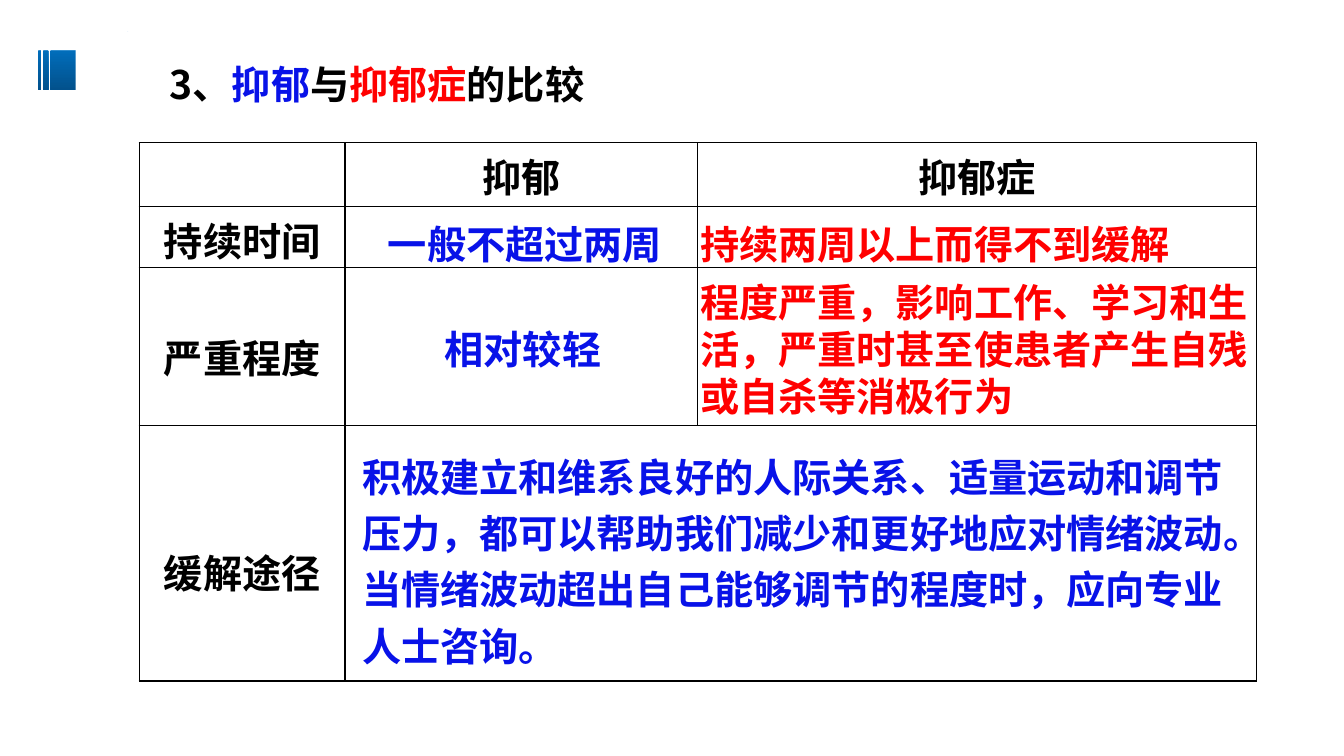
from dataclasses import dataclass

from lxml import etree
from pptx import Presentation
from pptx.dml.color import RGBColor
from pptx.enum.shapes import MSO_SHAPE
from pptx.enum.text import MSO_ANCHOR, MSO_AUTO_SIZE, PP_ALIGN
from pptx.oxml.ns import qn
from pptx.util import Pt

LEFT, CENTER = PP_ALIGN.LEFT, PP_ALIGN.CENTER
TOP = MSO_ANCHOR.TOP
NO_AUTOFIT = MSO_AUTO_SIZE.NONE
STRIPED_ARROW = MSO_SHAPE.STRIPED_RIGHT_ARROW
RECTANGLE = MSO_SHAPE.RECTANGLE
TITLE_ONLY = 5


@dataclass(frozen=True)
class Theme:
    black: RGBColor = RGBColor(0, 0, 0)
    white: RGBColor = RGBColor(255, 255, 255)
    blue: RGBColor = RGBColor(0x08, 0x12, 0xE8)
    red: RGBColor = RGBColor(255, 0, 0)
    marker_top: RGBColor = RGBColor(0x00, 0x7B, 0xD3)
    marker_bottom: RGBColor = RGBColor(0x03, 0x43, 0x73)
    label_font: str = "Noto Sans CJK SC"
    body_font: str = "Noto Sans CJK JP"
    size: float = 28
    tight: float = 33.6
    loose: float = 40.2
    label_line: float = 40.5


THEME = Theme()

# Table geometry in points
TABLE_BOX = (99.5, 102, 798, 384.5)
COLUMNS = (147, 252, 399)
ROWS = (45.5, 43.5, 113, 182.5)

# Row, column, text and number of lines the label is lowered by
LABELS = (
    (0, 1, "抑郁", 0),
    (0, 2, "抑郁症", 0),
    (1, 0, "持续时间", 0),
    (2, 0, "严重程度", 1),
    (3, 0, "缓解途径", 2),
)

# Box, text, colour, alignment and line spacing of each entry
ENTRIES = (
    ((257, 144, 236, 47.5), "一般不超过两周", THEME.blue, CENTER, THEME.loose),
    ((493, 144, 404.5, 47.5), "持续两周以上而得不到缓解",
     THEME.red, LEFT, THEME.loose),
    ((296, 219.5, 155, 47.5), "相对较轻", THEME.blue, CENTER, THEME.loose),
    ((493, 192, 412.5, 108.5),
     "程度严重，影响工作、学习和生活，严重时甚至使患者产生自残或自杀等消极行为",
     THEME.red, LEFT, THEME.tight),
    ((251.5, 310.5, 641.5, 170),
     "积极建立和维系良好的人际关系、适量运动和调节压力，都可以帮助我们减少和"
     "更好地应对情绪波动。当情绪波动超出自己能够调节的程度时，应向专业人士咨询。",
     THEME.blue, LEFT, THEME.loose),
)


def add_span(para, text, color, font):
    span = para.add_run()
    span.text = text
    span.font.size = Pt(THEME.size)
    span.font.bold = True
    span.font.name = font
    span.font.color.rgb = color
    east_asian = etree.SubElement(span.font._element, qn("a:ea"))
    east_asian.set("typeface", font)


def write_text(frame, spans, font, align, spacing):
    frame.word_wrap = True
    frame.auto_size = NO_AUTOFIT
    frame.vertical_anchor = TOP
    frame.margin_top = Pt(6.5)
    para = frame.paragraphs[0]
    para.alignment = align
    para.line_spacing = Pt(spacing)
    for text, color in spans:
        add_span(para, text, color, font)


def draw_marker(page, box):
    """Striped block: the head of the arrow is masked by a white panel."""
    left, top, width, height = box
    mask_offset = 26.5
    arrow = page.shapes.add_shape(
        STRIPED_ARROW, Pt(left), Pt(top), Pt(width), Pt(height))
    arrow.fill.gradient()
    arrow.fill.gradient_angle = 270
    stops = arrow.fill.gradient_stops
    for stop, color, position in zip(
            stops, (THEME.marker_top, THEME.marker_bottom), (0, 1)):
        stop.color.rgb = color
        stop.position = position
    mask = page.shapes.add_shape(
        RECTANGLE, Pt(left + mask_offset), Pt(top), Pt(73), Pt(height))
    mask.fill.solid()
    mask.fill.fore_color.rgb = THEME.white
    for shape in (arrow, mask):
        shape.line.fill.background()
        shape.shadow.inherit = False


def draw_title(page, box):
    title = page.shapes.title
    title.left, title.top, title.width, title.height = map(Pt, box)
    spans = (("3、", THEME.black), ("抑郁", THEME.blue), ("与", THEME.black),
             ("抑郁症", THEME.red), ("的比较", THEME.black))
    write_text(title.text_frame, spans, THEME.label_font, LEFT, THEME.loose)
    # Keep the title in front of the marker
    page.shapes._spTree.append(title._element)


def format_cell(cell):
    cell.fill.background()
    cell.margin_top, cell.margin_bottom = Pt(3), Pt(0)
    properties = cell._tc.get_or_add_tcPr()
    for index, side in enumerate(("lnL", "lnR", "lnT", "lnB")):
        line = etree.Element(qn("a:" + side), w=str(Pt(1)))
        fill = etree.SubElement(line, qn("a:solidFill"))
        etree.SubElement(fill, qn("a:srgbClr"), val=str(THEME.black))
        properties.insert(index, line)


def draw_table(page, box):
    table = page.shapes.add_table(
        len(ROWS), len(COLUMNS), *map(Pt, box)).table
    table.first_row = table.horz_banding = False
    for column, width in zip(table.columns, COLUMNS):
        column.width = Pt(width)
    for row, height in zip(table.rows, ROWS):
        row.height = Pt(height)
    for cell in table.iter_cells():
        format_cell(cell)
    table.cell(3, 1).merge(table.cell(3, 2))
    for row, column, text, lowered in LABELS:
        cell = table.cell(row, column)
        cell.margin_top = Pt(3 + lowered * THEME.label_line)
        para = cell.text_frame.paragraphs[0]
        para.alignment = CENTER
        add_span(para, text, THEME.black, THEME.label_font)


def draw_entry(page, box, text, color, align, spacing):
    entry = page.shapes.add_textbox(*map(Pt, box))
    write_text(entry.text_frame, ((text, color),), THEME.body_font,
               align, spacing)


def build_comparison(deck):
    page = deck.slides.add_slide(deck.slide_layouts[TITLE_ONLY])
    # Heading
    draw_marker(page, (27.5, 22.5, 91.5, 55.5))
    draw_title(page, (114, 30, 402, 47.5))
    # Comparison grid and its entries
    draw_table(page, TABLE_BOX)
    for entry in ENTRIES:
        draw_entry(page, *entry)


def main():
    deck = Presentation()
    deck.slide_width, deck.slide_height = Pt(960), Pt(540)
    build_comparison(deck)
    deck.save("out.pptx")


if __name__ == "__main__":
    main()
